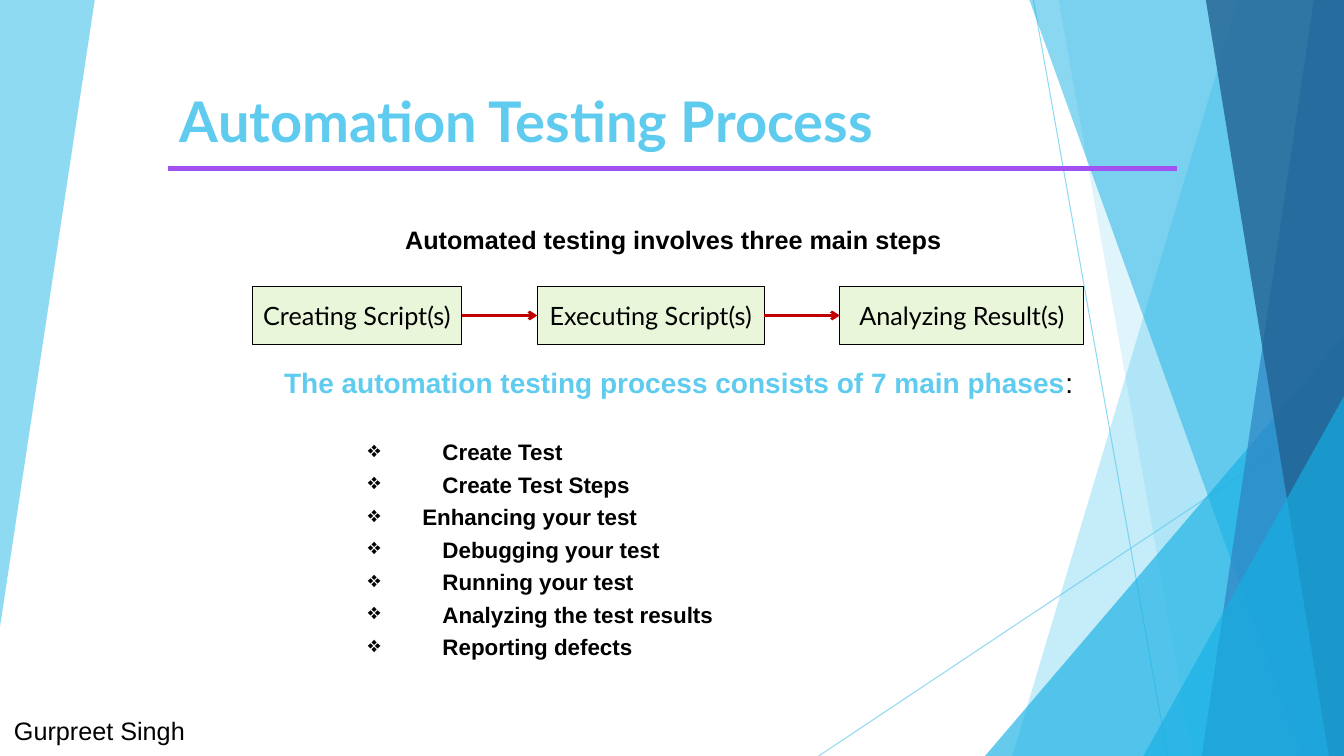
"""Build the slide on the steps and phases of automated testing."""
from dataclasses import dataclass

from lxml.etree import SubElement
from pptx import Presentation
from pptx.dml.color import RGBColor
from pptx.enum.shapes import MSO_CONNECTOR, MSO_SHAPE
from pptx.enum.text import MSO_ANCHOR, PP_ALIGN
from pptx.oxml.ns import qn
from pptx.util import Inches, Pt

COLORS = {
    "sky": "5FCBEF", "cyan": "17B0E4", "blue": "2E83C3", "navy": "226292",
    "purple": "A150F2", "green": "EAF6D9", "red": "C00000", "black": "000000",
}
WIDE, HIGH = 13.33, 7.5


@dataclass
class Facet:
    points: list[tuple[float, float]]
    color: str
    alpha: int


@dataclass
class Wedge:
    left: float
    top: float
    color: str
    alpha: int


@dataclass
class Line:
    start: tuple[float, float]
    end: tuple[float, float]
    color: str
    width: float
    alpha: int = 100
    arrow: bool = False


@dataclass
class Step:
    left: float
    width: float
    text: str


@dataclass
class Phase:
    text: str
    margin: float = 2.0


def panel(top: float, base: float, color: str, alpha: int) -> Facet:
    """Return a facet that runs from a slanted edge to the right of the slide."""
    return Facet([(top, 0), (WIDE, 0), (WIDE, HIGH), (base, HIGH)], color, alpha)


THIN = [
    Line((10.25, 0), (11.58, HIGH), "sky", 0.75, 70),
    Line((WIDE, 4.03), (8.12, HIGH), "sky", 0.75, 70),
]
DECOR = [
    panel(12.28, 10.04, "sky", 36),
    panel(10.5, 11.83, "sky", 20),
    Wedge(9.77, 3.33, "cyan", 66),
    panel(10.21, 12.91, "cyan", 50),
    panel(13.03, 11.92, "blue", 70),
    panel(11.96, 13.18, "navy", 80),
    Wedge(11.34, 3.93, "cyan", 66),
]
STEPS = [
    Step(2.5, 2.08, "Creating Script(s)"),
    Step(5.33, 2.25, "Executing Script(s)"),
    Step(8.33, 2.42, "Analyzing Result(s)"),
]
PHASES = [
    Phase("Create Test"), Phase("Create Test Steps"),
    Phase("Enhancing your test", 1.8), Phase("Debugging your test"),
    Phase("Running your test"), Phase("Analyzing the test results"),
    Phase("Reporting defects"),
]


def rgb(name: str) -> RGBColor:
    """Look up a colour by name."""
    return RGBColor.from_string(COLORS[name])


def fade(props, alpha: int) -> None:
    """Set the opacity of the first solid colour, in percent."""
    tint = next(props.iter(qn("a:srgbClr")))
    SubElement(tint, qn("a:alpha")).set("val", str(alpha * 1000))


def paint(shape, color: str, alpha: int) -> None:
    """Fill a shape with a sheer colour and no outline."""
    shape.shadow.inherit = False
    shape.fill.solid()
    shape.fill.fore_color.rgb = rgb(color)
    shape.line.fill.background()
    fade(shape._element.spPr, alpha)


def draw_facet(slide, facet: Facet) -> None:
    """Draw one closed outline."""
    spots = [(Inches(x), Inches(y)) for x, y in facet.points]
    pen = slide.shapes.build_freeform(*spots[0])
    pen.add_line_segments(spots[1:], close=True)
    paint(pen.convert_to_shape(), facet.color, facet.alpha)


def draw_wedge(slide, wedge: Wedge) -> None:
    """Draw a triangle that fills the lower right corner."""
    shape = slide.shapes.add_shape(
        MSO_SHAPE.ISOSCELES_TRIANGLE, Inches(wedge.left), Inches(wedge.top),
        Inches(WIDE - wedge.left), Inches(HIGH - wedge.top))
    shape.adjustments[0] = 1
    paint(shape, wedge.color, wedge.alpha)


def draw_line(slide, line: Line) -> None:
    """Draw a straight line, with an arrowhead if asked."""
    link = slide.shapes.add_connector(
        MSO_CONNECTOR.STRAIGHT, *map(Inches, line.start + line.end))
    link.line.color.rgb = rgb(line.color)
    link.line.width = Pt(line.width)
    props = link._element.spPr
    if line.alpha < 100:
        fade(props, line.alpha)
    if line.arrow:
        SubElement(props.find(qn("a:ln")), qn("a:tailEnd")).set("type", "arrow")
    SubElement(props, qn("a:effectLst"))


def add_run(para, text: str, size: float, color: str = "black",
            bold: bool = False, face: str = "Arial") -> None:
    """Add a styled run to a paragraph."""
    run = para.add_run()
    run.text = text
    font = run.font
    font.name, font.size, font.bold = face, Pt(size), bold
    font.color.rgb = rgb(color)


def add_box(slide, left: float, top: float, width: float, height: float,
            wrap: bool = True):
    """Add a text box and return its frame."""
    box = slide.shapes.add_textbox(*map(Inches, (left, top, width, height)))
    box.text_frame.word_wrap = wrap
    return box.text_frame


def draw_step(slide, step: Step) -> None:
    """Draw one boxed step."""
    shape = slide.shapes.add_shape(
        MSO_SHAPE.RECTANGLE, Inches(step.left), Inches(2.84),
        Inches(step.width), Inches(0.58))
    paint(shape, "green", 100)
    shape.line.color.rgb = rgb("black")
    shape.line.width = Pt(0.75)
    frame = shape.text_frame
    frame.word_wrap = False
    frame.vertical_anchor = MSO_ANCHOR.MIDDLE
    para = frame.paragraphs[0]
    para.alignment = PP_ALIGN.CENTER
    add_run(para, step.text, 18, face="Lato")


def add_phase(frame, phase: Phase, gap: float) -> None:
    """Add one phase as a bullet whose mark stays in line."""
    para = frame.add_paragraph()
    para.space_before = Pt(gap)
    props = para._p.get_or_add_pPr()
    props.set("marL", str(Inches(phase.margin)))
    props.set("indent", str(Inches(1.26 - phase.margin)))
    SubElement(props, qn("a:buChar")).set("char", "❖")
    add_run(para, phase.text, 16, bold=True)


def main() -> None:
    """Build and save the deck."""
    deck = Presentation()
    deck.slide_width, deck.slide_height = Inches(WIDE), Inches(HIGH)
    slide = deck.slides.add_slide(deck.slide_layouts[6])

    draw_facet(slide, Facet([(0, 0), (0.94, 0), (0, 6.22)], "sky", 70))
    for line in THIN:
        draw_line(slide, line)
    for part in DECOR:
        draw = draw_facet if isinstance(part, Facet) else draw_wedge
        draw(slide, part)
    draw_line(slide, Line((1.67, 1.67), (11.67, 1.67), "purple", 3.5))

    title = add_box(slide, 0.52, 0.81, 9.4, 0.76)
    title.vertical_anchor = MSO_ANCHOR.BOTTOM
    title.paragraphs[0].alignment = PP_ALIGN.CENTER
    add_run(title.paragraphs[0], "Automation Testing Process", 40, "sky", True, "Lato")

    intro = add_box(slide, 3.92, 2.18, 5.75, 0.4)
    add_run(intro.paragraphs[0], "Automated testing involves three main steps",
            18, bold=True)
    for step in STEPS:
        draw_step(slide, step)
    for step, after in zip(STEPS, STEPS[1:]):
        draw_line(slide, Line((step.left + step.width, 3.13), (after.left, 3.13),
                              "red", 2, arrow=True))

    body = add_box(slide, 2.29, 3.58, 8.88, 3.17)
    head = body.paragraphs[0]
    head.alignment = PP_ALIGN.CENTER
    head.space_before = Pt(4)
    add_run(head, "The automation testing process consists of 7 main phases",
            20, "sky", True)
    add_run(head, ":", 20)
    for rank, phase in enumerate(PHASES):
        add_phase(body, phase, 4 if rank else 28)

    name = add_box(slide, 0.04, 7.05, 1.91, 0.4, wrap=False)
    add_run(name.paragraphs[0], "Gurpreet Singh", 18)
    deck.save("out.pptx")


if __name__ == "__main__":
    main()
